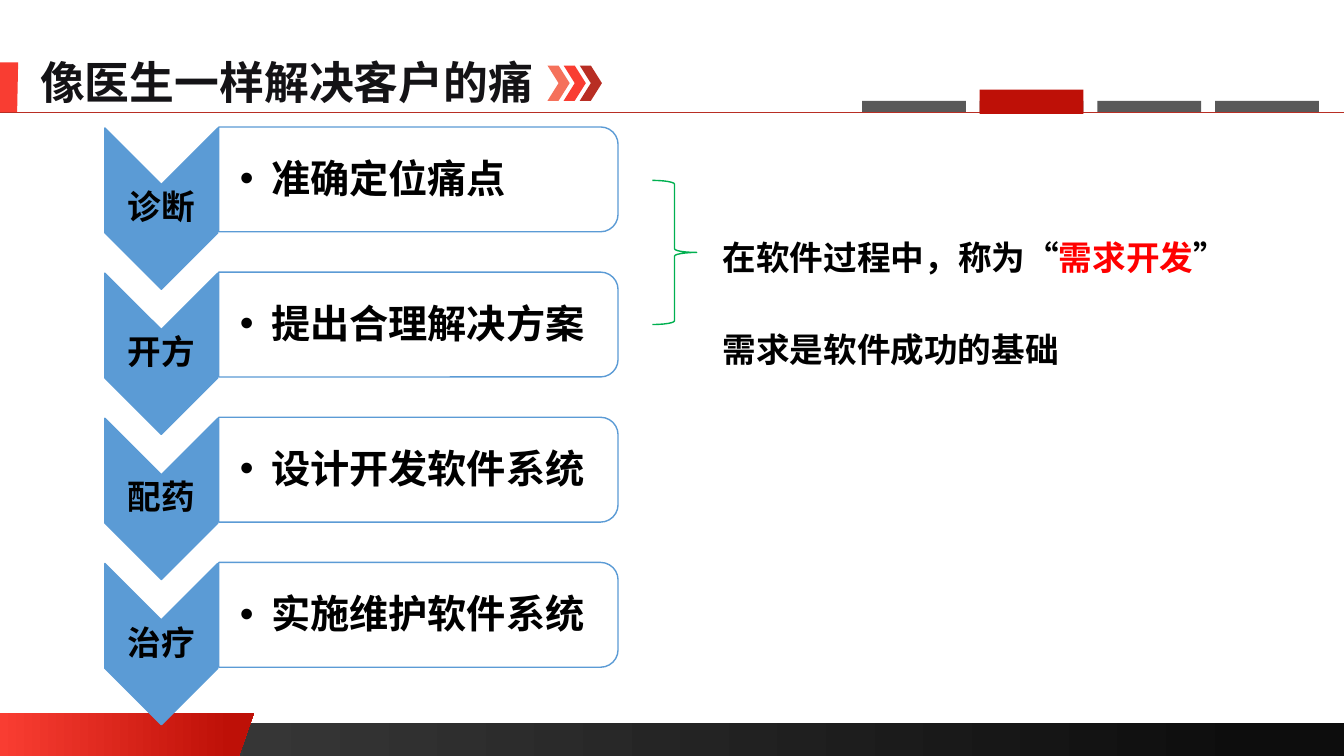
from lxml import etree
from pptx import Presentation
from pptx.dml.color import RGBColor
from pptx.enum import shapes, text
from pptx.oxml.ns import qn
from pptx.util import Inches, Pt

FONT = "Noto Sans CJK SC"
HUES = {
    "ink": "141316", "black": "000000", "white": "FFFFFF", "blue": "5B9BD5",
    "green": "00B050", "red": "F93D32", "deep": "BE1007", "rule": "B82E24",
    "coral": "F5715B", "gray": "595959", "coal": "404040", "night": "0D0D0D",
    "alert": "FF0000",
}
RGB = {name: RGBColor.from_string(code) for name, code in HUES.items()}
KIND = shapes.MSO_SHAPE

deck = Presentation()
deck.slide_width, deck.slide_height = Inches(13.33), Inches(7.5)
slide = deck.slides.add_slide(deck.slide_layouts[6])
pool = slide.shapes


def paint(shape, fill=None, line=None):
    """Colour a shape; a tuple fill is a gradient of (start, end, end position)."""
    shape.shadow.inherit = False
    if isinstance(fill, tuple):
        shape.fill.gradient()
        shape.fill.gradient_angle = 0
        first, last = shape.fill.gradient_stops
        first.color.rgb, last.color.rgb = RGB[fill[0]], RGB[fill[1]]
        first.position, last.position = 0, fill[2]
    elif fill:
        shape.fill.solid()
        shape.fill.fore_color.rgb = RGB[fill]
    else:
        shape.fill.background()
    if line:
        shape.line.color.rgb = RGB[line]
        shape.line.width = Pt(1)
    else:
        shape.line.fill.background()


def write(place, parts, size, hue="black", inset=None, bullet=False):
    """Add a bold text box from (words, colour) parts; inset is the left margin."""
    box = pool.add_textbox(*map(Inches, place))
    frame = box.text_frame
    para = frame.paragraphs[0]
    frame.word_wrap = inset is not None
    if inset is not None:
        frame.vertical_anchor = text.MSO_ANCHOR.MIDDLE
        frame.margin_left = Inches(inset)
        frame.margin_top = frame.margin_right = frame.margin_bottom = Inches(0.02)
        para.line_spacing = 0.9
        if not bullet:
            para.alignment = text.PP_ALIGN.CENTER
    if bullet:
        props = para._p.get_or_add_pPr()
        props.set("marL", str(Inches(0.31)))
        props.set("indent", str(-Inches(0.31)))
        etree.SubElement(props, qn("a:buFont")).set("typeface", "Arial")
        etree.SubElement(props, qn("a:buChar")).set("char", "•")
    font = para.font
    font.size, font.bold, font.name = Pt(size), True, FONT
    font.color.rgb = RGB[hue]
    etree.SubElement(font._element, qn("a:ea")).set("typeface", FONT)
    for words, tint in parts:
        run = para.add_run()
        run.text = words
        if tint:
            run.font.color.rgb = RGB[tint]


# Footer and title band
bar = pool.add_shape(KIND.RECTANGLE, 0, Inches(7.17), Inches(13.33), Inches(0.33))
paint(bar, ("coal", "night", 0.94))
for points, fill in (
    ([(0, 7.07), (2.52, 7.07), (2.37, 7.5), (0, 7.5)], ("red", "deep", 0.91)),
    ([(0, 0.62), (0.18, 0.62), (0.17, 1.12), (0, 1.12)], "red"),
):
    spots = [(Inches(x), Inches(y)) for x, y in points]
    pen = pool.build_freeform(*spots[0])
    pen.add_line_segments(spots[1:], close=True)
    paint(pen.convert_to_shape(), fill)

write((0.3, 0.49, 5.14, 0.64), [("像医生一样解决客户的痛", None)], 32, "ink")

rule = pool.add_connector(
    shapes.MSO_CONNECTOR.STRAIGHT, 0, Inches(1.11), Inches(13.33), Inches(1.11))
rule.line.color.rgb = RGB["rule"]
rule.line.width = Pt(0.5)
etree.SubElement(rule._element.spPr, qn("a:effectLst"))

for i, hue in enumerate(("coral", "red", "rule")):
    arrow = pool.add_shape(KIND.CHEVRON, Inches(5.43 + 0.16 * i), Inches(0.65),
                           Inches(0.22), Inches(0.35))
    paint(arrow, hue)

# Section tabs, the second one active
tabs = [(i, 1, 0.11, "gray") for i in range(4)] + [(1, 0.89, 0.24, "deep")]
for i, top, high, hue in tabs:
    tab = pool.add_shape(KIND.RECTANGLE, Inches(8.55 + 1.167 * i), Inches(top),
                         Inches(1.03), Inches(high))
    paint(tab, hue)

# Four treatment steps
steps = (
    ("诊断", "准确定位痛点"),
    ("开方", "提出合理解决方案"),
    ("配药", "设计开发软件系统"),
    ("治疗", "实施维护软件系统"),
)
for i, (name, task) in enumerate(steps):
    drop = 1.44 * i
    arrow = pool.add_shape(KIND.CHEVRON, Inches(0.8), Inches(1.51 + drop),
                           Inches(1.6), Inches(1.12))
    card = pool.add_shape(KIND.ROUND_2_SAME_RECTANGLE, Inches(3.63),
                          Inches(-0.2 + drop), Inches(1.04), Inches(3.96))
    arrow.rotation = card.rotation = 90
    paint(arrow, "blue", "blue")
    paint(card, "white", "blue")
    write((1.04, 1.83 + drop, 1.12, 0.48), [(name, None)], 24, inset=0.02)
    write((2.16, 1.32 + drop, 3.91, 0.94), [(task, None)], 28, inset=0.22, bullet=True)

# Remark on the first two steps
brace = pool.add_shape(KIND.RIGHT_BRACE, Inches(6.47), Inches(1.79),
                       Inches(0.44), Inches(1.43))
paint(brace, line="green")
write((7.07, 2.3, 5.25, 0.5),
      [("在软件过程中，称为“", None), ("需求开发", "alert"), ("”", None)], 24)
write((7.07, 3.21, 3.57, 0.5), [("需求是软件成功的基础", None)], 24)

deck.save("out.pptx")
